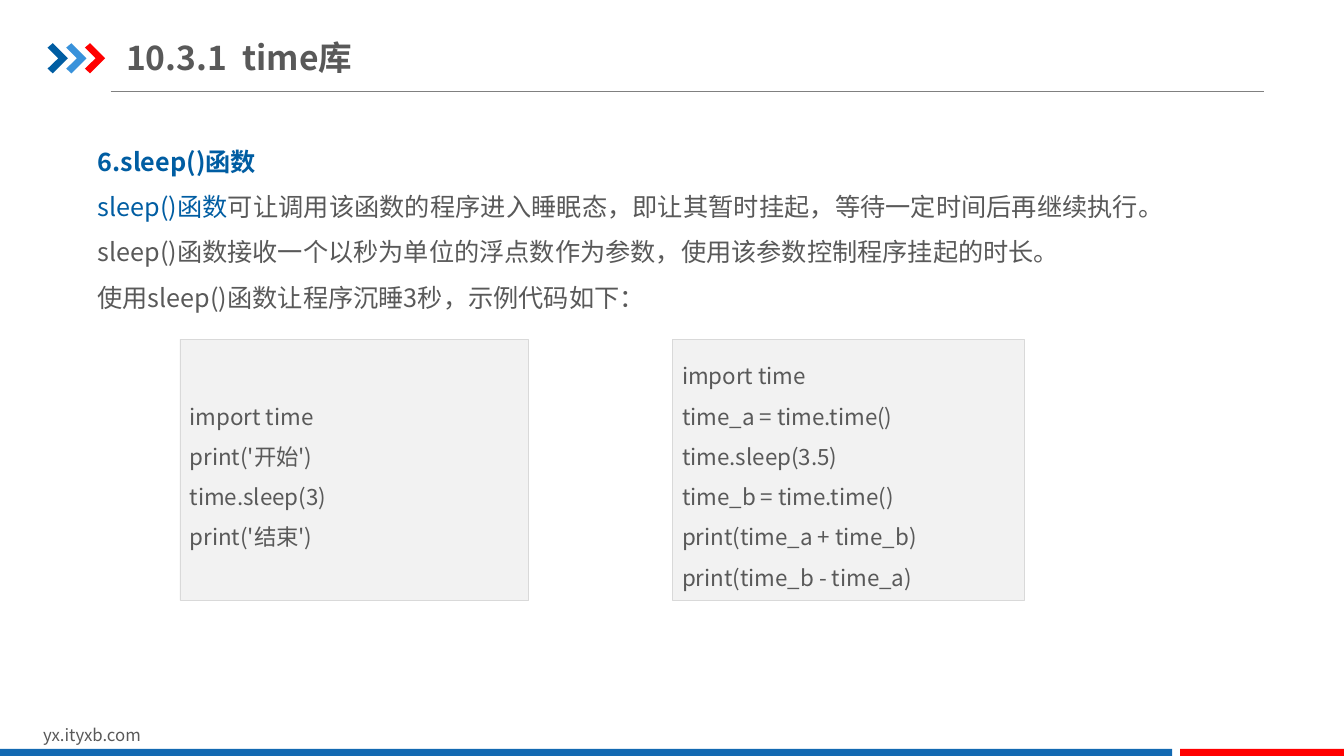
from lxml.etree import SubElement
from pptx import Presentation
from pptx.dml.color import RGBColor
from pptx.enum.shapes import MSO_CONNECTOR, MSO_SHAPE
from pptx.enum.text import MSO_ANCHOR, PP_ALIGN
from pptx.oxml.ns import qn
from pptx.util import Cm, Pt

COLORS = {
    "blue": "005DA2",
    "sky": "3992DB",
    "red": "FF0000",
    "bar": "1369B2",
    "text": "595959",
    "rule": "808080",
    "panel": "F2F2F2",
    "border": "D9D9D9",
}
FONT = "Noto Sans CJK SC"
CHEVRON = [(0, 11), (13, 0), (51, 38), (13, 76), (0, 64), (27, 38)]


def color(name):
    return RGBColor.from_string(COLORS[name])


class SlideBuilder:
    def __init__(self, slide):
        self.slide = slide
        self.shapes = slide.shapes

    def paint(self, sp, fill, border=None):
        sp.shadow.inherit = False
        sp.fill.solid()
        sp.fill.fore_color.rgb = color(fill)
        if border:
            sp.line.color.rgb = color(border)
            sp.line.width = Pt(0.25)
        else:
            sp.line.fill.background()

    def rect(self, box, fill, border=None):
        sp = self.shapes.add_shape(MSO_SHAPE.RECTANGLE, *map(Cm, box))
        self.paint(sp, fill, border)
        return sp

    def chevron(self, left, top, fill):
        builder = self.shapes.build_freeform(*CHEVRON[0], scale=Cm(0.01))
        builder.add_line_segments(CHEVRON[1:], close=True)
        self.paint(builder.convert_to_shape(Cm(left), Cm(top)), fill)

    def rule(self, x1, x2, y):
        line = self.shapes.add_connector(
            MSO_CONNECTOR.STRAIGHT, Cm(x1), Cm(y), Cm(x2), Cm(y))
        line.line.color.rgb = color("rule")
        line.line.width = Pt(0.75)
        SubElement(line._element.spPr, qn("a:effectLst"))

    def fill_text(self, sp, paragraphs, size, frame=None, **paragraph_format):
        tf = sp.text_frame
        for name, value in {"word_wrap": True, **(frame or {})}.items():
            setattr(tf, name, value)
        for i, runs in enumerate(paragraphs):
            p = tf.add_paragraph() if i else tf.paragraphs[0]
            for name, value in {"alignment": PP_ALIGN.LEFT, **paragraph_format}.items():
                setattr(p, name, value)
            for text, tint, bold in runs:
                r = p.add_run()
                r.text = text
                r.font.color.rgb = color(tint)
                for name, value in {"size": Pt(size), "bold": bold, "name": FONT}.items():
                    setattr(r.font, name, value)
                SubElement(r._r.get_or_add_rPr(), qn("a:ea"), typeface=FONT)

    def text(self, box, paragraphs, size, frame=None, **paragraph_format):
        sp = self.shapes.add_textbox(*map(Cm, box))
        self.fill_text(sp, paragraphs, size, frame, **paragraph_format)

    def code(self, box, lines):
        sp = self.rect(box, "panel", "border")
        self.fill_text(sp, [[(line, "text", False)] for line in lines], 16,
                       {"vertical_anchor": MSO_ANCHOR.MIDDLE}, line_spacing=1.5)


def main():
    prs = Presentation()
    prs.slide_width, prs.slide_height = Cm(33.87), Cm(19.05)
    s = SlideBuilder(prs.slides.add_slide(prs.slide_layouts[6]))

    s.rule(2.79, 31.86, 2.31)
    for i, fill in enumerate(["blue", "sky", "red"]):
        s.chevron(1.2 + 0.47 * i, 1.09, fill)
    s.text((0.84, 18.14, 8.08, 0.76), [[("yx.ityxb.com", "text", False)]], 12)
    s.rect((0, 18.87, 29.54, 0.22), "bar")
    s.rect((29.74, 18.87, 4.13, 0.22), "red")

    s.text((3.18, 0.74, 12.75, 1.4), [[("10.3.1  time库", "text", True)]], 24,
           {"margin_left": 0, "margin_right": 0,
            "vertical_anchor": MSO_ANCHOR.MIDDLE})
    s.text((2.13, 3.12, 26.9, 4.6), [
        [("6.sleep()函数", "blue", True)],
        [("sleep()函数", "blue", False),
         ("可让调用该函数的程序进入睡眠态，即让其暂时挂起，等待一定时间后再继续执行。"
          "sleep()函数接收一个以秒为单位的浮点数作为参数，使用该参数控制程序挂起的时长。",
          "text", False)],
        [("使用sleep()函数让程序沉睡3秒，示例代码如下：", "text", False)],
    ], 18, {"margin_left": Cm(0.33), "margin_right": Cm(0.33),
            "margin_top": Cm(0.18), "margin_bottom": Cm(0.18)},
        alignment=PP_ALIGN.JUSTIFY, line_spacing=1.5)

    s.code((4.53, 8.55, 8.79, 6.58), [
        "import time",
        "print('开始')",
        "time.sleep(3)",
        "print('结束')",
    ])
    s.code((16.94, 8.55, 8.87, 6.58), [
        "import time",
        "time_a = time.time()",
        "time.sleep(3.5)",
        "time_b = time.time()",
        "print(time_a + time_b)",
        "print(time_b - time_a)",
    ])
    prs.save("out.pptx")


if __name__ == "__main__":
    main()
